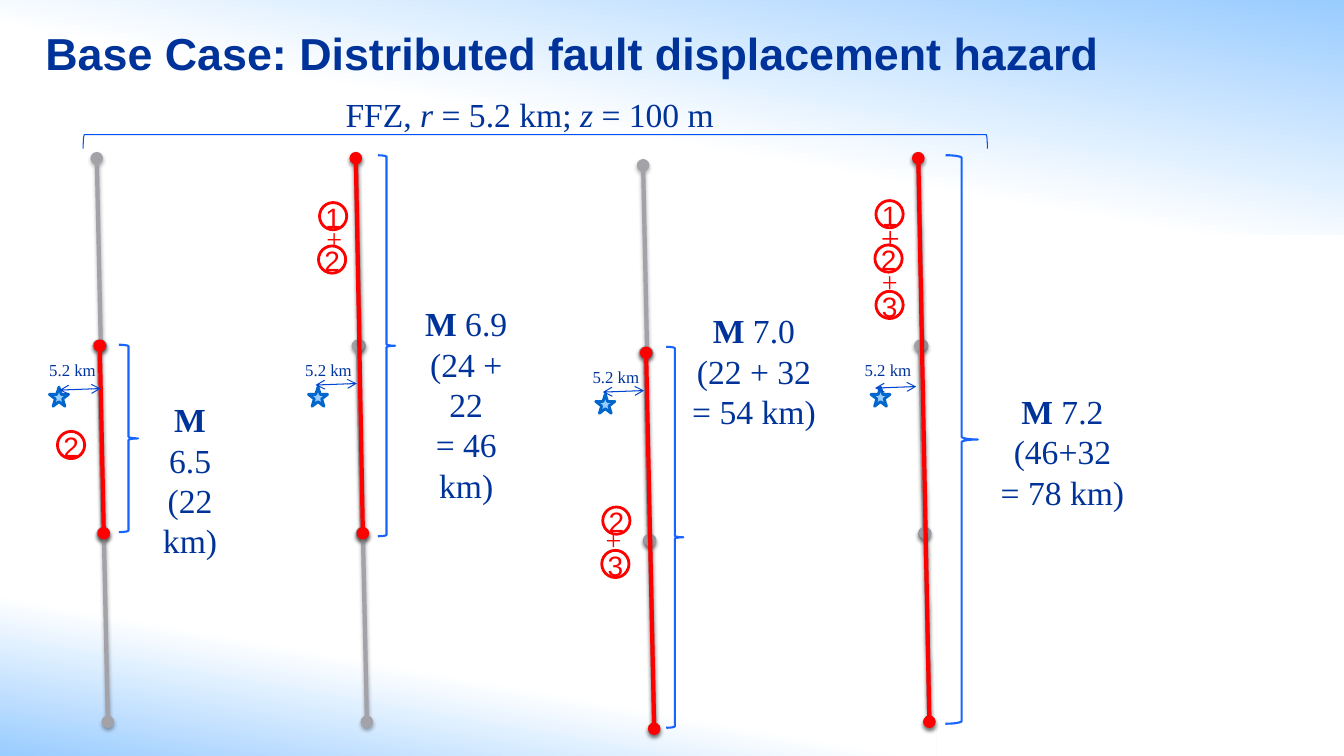
from lxml import etree
from pptx import Presentation
from pptx import util as u
from pptx.dml import color
from pptx.enum import shapes, text
from pptx.oxml import ns

SHAPE = shapes.MSO_SHAPE
CELL = u.Inches(0.1)  # the grid has 133.3 columns and 75 rows
COLUMNS, ROWS = 133.33, 75

NAVY, RED, GREY, SKY = "003399", "FF0000", "A2A2A8", "99CCFF"
SERIF = {"name": "Times New Roman", "size": u.Pt(24), "color": NAVY}
SMALL = SERIF | {"size": u.Pt(12)}
PLUS = SERIF | {"size": u.Pt(20), "color": RED}
DIGIT = PLUS | {"name": "Arial"}
HEADING = {"name": "Arial", "size": u.Pt(32), "bold": True, "color": NAVY}
BOLD, ITALIC = {"bold": True}, {"italic": True}

# Fault and rupture points, as offsets from the top of each fault trace
SEGMENTS = [(0, 0, 0.4, 18.6), (0.2, 18.6, 0.6, 37.2), (0.7, 37.2, 1.1, 55.9)]
NODES = [(0, 0), (0.3, 18.6), (0.7, 37.2), (1.1, 55.9)]

SCENARIOS = [
    {"origin": (9.6, 15.7), "rupture": (1, 2), "distance": (-5.7, 23),
     "brace": (11.8, 34.2, 1.9, 18.6), "badges": [("2", 5.7, 42.8)], "pluses": [],
     "label": (13.9, 39.1, 9.9, 7.1), "magnitude": "6.5", "length": ["(22 km)"]},
    {"origin": (35.3, 15.7), "rupture": (0, 2), "distance": (-6, 22.5),
     "brace": (37.5, 15.4, 1.7, 37.8),
     "badges": [("1", 31.7, 20.1), ("2", 31.6, 24.4)], "pluses": [(31.4, 21.5, 20)],
     "label": (40.8, 29.6, 10.9, 10.1), "magnitude": "6.9",
     "length": ["(24 + 22", "= 46 km)"]},
    {"origin": (63.8, 16.4), "rupture": (1, 3), "distance": (-6, 22.5),
     "brace": (66.1, 34.4, 1.7, 37.8),
     "badges": [("2", 59.8, 50.3), ("3", 59.7, 54.6)], "pluses": [(59.1, 51.3, 20)],
     "label": (67.6, 30.3, 14.4, 13.1), "magnitude": "7.0",
     "length": ["(22 + 32", "= 54 km)"]},
    {"origin": (91.1, 15.7), "rupture": (0, 3), "distance": (-6.3, 22.8),
     "brace": (93.8, 15.4, 3.2, 56.4),
     "badges": [("1", 86.9, 19.9), ("2", 86.8, 24.3), ("3", 86.9, 28.9)],
     "pluses": [(86.4, 21, 24), (86.5, 25.7, 20)],
     "label": (98, 38.3, 14.8, 13.1), "magnitude": "7.2",
     "length": ["(46+32", "= 78 km)"]},
]


def rgb(value):
    return color.RGBColor.from_string(value)


def grid(*cells):
    return [round(cell * CELL) for cell in cells]


def add_xml(parent, tag, **attributes):
    return etree.SubElement(parent, ns.qn(tag), attributes)


class FaultSlide:
    """Draws on one title-only slide, with lengths in grid cells."""

    def __init__(self, presentation):
        self.slide = presentation.slides.add_slide(presentation.slide_layouts[5])
        self.shapes = self.slide.shapes

    def format_font(self, font, style):
        for name, value in style.items():
            if name == "color":
                font.color.rgb = rgb(value)
            else:
                setattr(font, name, value)

    def title(self, words, *box):
        title = self.shapes.title
        for name, value in zip(("left", "top", "width", "height"), grid(*box)):
            setattr(title, name, value)
        title.text_frame.text = words
        title.text_frame.vertical_anchor = text.MSO_ANCHOR.MIDDLE
        paragraph = title.text_frame.paragraphs[0]
        paragraph.alignment = text.PP_ALIGN.LEFT
        self.format_font(paragraph.runs[0].font, HEADING)
        title._element.getparent().append(title._element)  # in front of the gradients

    def shape(self, kind, *box, fill=None, line=None, width=0):
        shape = self.shapes.add_shape(kind, *grid(*box))
        shape.shadow.inherit = False
        if fill:
            shape.fill.solid()
            shape.fill.fore_color.rgb = rgb(fill)
        else:
            shape.fill.background()
        if line:
            shape.line.color.rgb = rgb(line)
            shape.line.width = u.Pt(width)
        else:
            shape.line.fill.background()
        return shape

    def gradient(self, *box, angle, white_from):
        fill = self.shape(SHAPE.RECTANGLE, *box).fill
        fill.gradient()
        fill.gradient_angle = angle
        for stop, value, position in zip(fill.gradient_stops, (SKY, "FFFFFF"), (0, white_from)):
            stop.color.rgb = rgb(value)
            stop.position = position

    def line(self, *ends, stroke, width, heads, shadow=False):
        connector = self.shapes.add_connector(shapes.MSO_CONNECTOR.STRAIGHT, *grid(*ends))
        connector.line.color.rgb = rgb(stroke)
        connector.line.width = u.Pt(width)
        outline = connector.line._get_or_add_ln()
        for tag in ("a:headEnd", "a:tailEnd"):
            add_xml(outline, tag, type=heads)
        effects = add_xml(connector._element.spPr, "a:effectLst")
        if shadow:
            outer = add_xml(effects, "a:outerShdw", blurRad=str(u.Pt(3.1)),
                            dist=str(u.Pt(1.8)), dir="5400000", rotWithShape="0")
            add_xml(add_xml(outer, "a:srgbClr", val="000000"), "a:alpha", val="35000")

    def fault_line(self, *ends, stroke):
        self.line(*ends, stroke=stroke, width=3, heads="oval", shadow=True)

    def words(self, paragraphs, *box, style=SERIF, wrap=False, align=text.PP_ALIGN.LEFT):
        """Each paragraph is a list of (words, extra style) runs."""
        frame = self.shapes.add_textbox(*grid(*box)).text_frame
        frame.word_wrap = wrap
        for index, runs in enumerate(paragraphs):
            paragraph = frame.add_paragraph() if index else frame.paragraphs[0]
            paragraph.alignment = align
            for content, extra in runs:
                run = paragraph.add_run()
                run.text = content
                self.format_font(run.font, style | extra)

    def badge(self, digit, left, top):
        self.shape(SHAPE.OVAL, left, top, 2.7, 2.7, fill="FFFFFF", line=RED, width=2)
        self.words([[(digit, {})]], left - 0.4, top - 0.7, 3.6, 4.4, style=DIGIT)

    def site(self, x, y, distance):
        """Star with its distance arrow and caption."""
        label, arrow = distance
        self.shape(SHAPE.STAR_5_POINT, x - 4.7, y + 22.7, 1.9, 1.9,
                   fill=SKY, line="0066CC", width=2)
        self.words([[("5.2 km", {})]], x + label, y + 19.5, 6.7, 3, style=SMALL)
        start = x + label + 2
        self.line(start, y + arrow, start + 4.1, y + arrow - 0.15,
                  stroke="0045CF", width=0.75, heads="arrow")

    def scenario(self, case):
        x, y = case["origin"]
        for x1, y1, x2, y2 in SEGMENTS:
            self.fault_line(x + x1, y + y1, x + x2, y + y2, stroke=GREY)
        (x1, y1), (x2, y2) = (NODES[index] for index in case["rupture"])
        self.fault_line(x + x1, y + y1, x + x2, y + y2, stroke=RED)
        self.site(x, y, case["distance"])
        for badge in case["badges"]:
            self.badge(*badge)
        for left, top, size in case["pluses"]:
            self.words([[("+", {})]], left, top, 3.6, 4.4, style=PLUS | {"size": u.Pt(size)})
        self.shape(SHAPE.RIGHT_BRACE, *case["brace"], line="1764FF", width=1.5)
        magnitude = [("M", BOLD), (" " + case["magnitude"], {})]
        lengths = [[(row, {})] for row in case["length"]]
        self.words([magnitude, *lengths], *case["label"], wrap=True, align=text.PP_ALIGN.CENTER)


def main():
    presentation = Presentation()
    presentation.slide_width, presentation.slide_height = grid(COLUMNS, ROWS)
    page = FaultSlide(presentation)
    page.gradient(0, 58, 92.9, 17, angle=80, white_from=0.48)
    page.gradient(0, 0, COLUMNS, 23.3, angle=260, white_from=0.56)
    page.title("Base Case: Distributed fault displacement hazard", 3.5, 1.3, 108.3, 7.9)
    page.words([[("FFZ, ", {}), ("r", ITALIC), (" = 5.2 km; ", {}), ("z", ITALIC),
                 (" = 100 m", {})]], 33.3, 8.8, 48.6, 5, wrap=True)
    bracket = page.shape(SHAPE.LEFT_BRACKET, 52.4, -30.8, 1.4, 89.7, line="0051F2", width=0.75)
    bracket.rotation = 90
    for case in SCENARIOS:
        page.scenario(case)
    presentation.save("out.pptx")


if __name__ == "__main__":
    main()
